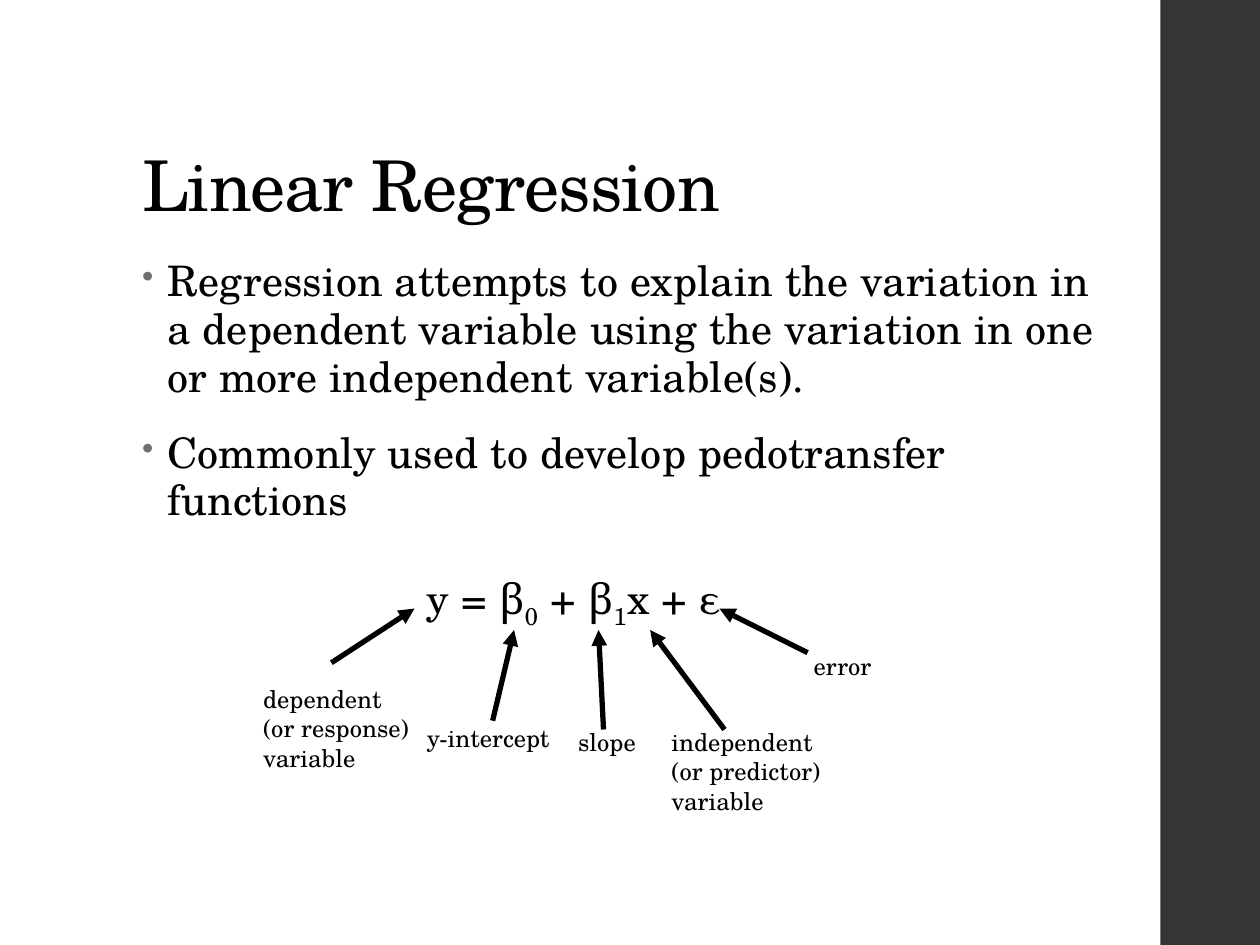
from dataclasses import dataclass

from lxml.etree import SubElement
from pptx import Presentation
from pptx.dml.color import RGBColor as Rgb
from pptx.enum.shapes import MSO_CONNECTOR as Connector, MSO_SHAPE as Shape
from pptx.enum.text import MSO_ANCHOR as Anchor, MSO_AUTO_SIZE as AutoSize
from pptx.oxml.ns import qn
from pptx.util import Inches, Pt


@dataclass(frozen=True)
class Theme:
    ink: Rgb = Rgb(0x00, 0x00, 0x00)
    sidebar: Rgb = Rgb(0x35, 0x35, 0x37)
    bullet: str = "6F6F74"
    font: str = "TeX Gyre Schola"
    greek_font: str = "Cambria"
    title_size: int = 40
    body_size: int = 24
    label_size: int = 14


theme = Theme()
deck = Presentation()
deck.slide_width, deck.slide_height = Inches(10), Inches(7.5)
page = deck.slides.add_slide(deck.slide_layouts[6])

# The page is a grid of 100 columns by 75 rows.
column = deck.slide_width / 100
row = deck.slide_height / 75


def add_frame(left, top, width, height, wrap=True, anchor=Anchor.TOP):
    """Add a text box placed in grid columns and rows; return its text frame."""
    box = page.shapes.add_textbox(
        int(left * column), int(top * row), int(width * column), int(height * row))
    frame = box.text_frame
    frame.word_wrap = wrap
    frame.auto_size = AutoSize.NONE if wrap else AutoSize.SHAPE_TO_FIT_TEXT
    frame.vertical_anchor = anchor
    return frame


def write(para, text, size=theme.body_size, font=theme.font, tracking=0, baseline=0):
    """Add a span; tracking is in hundredths of a point, baseline in percent."""
    span = para.add_run()
    span.text = text
    span.font.size = Pt(size)
    span.font.name = font
    span.font.color.rgb = theme.ink
    properties = span.font._element
    properties.set("spc", str(tracking))
    if baseline:
        properties.set("baseline", str(baseline * 1000))


sidebar = page.shapes.add_shape(
    Shape.RECTANGLE, int(92.1 * column), 0, int(7.9 * column), deck.slide_height)
sidebar.shadow.inherit = False
sidebar.fill.solid()
sidebar.fill.fore_color.rgb = theme.sidebar
sidebar.line.fill.background()

title = add_frame(10.3, 4, 79.5, 14.5, anchor=Anchor.BOTTOM).paragraphs[0]
title.line_spacing = 0.9
write(title, "Linear Regression", size=theme.title_size, tracking=-50)

body = add_frame(10.3, 20, 78, 47.6)
bullets = [
    ("Regression attempts to explain the variation in a dependent variable "
     "using the variation in one or more independent variable(s).", 0),
    ("Commonly used to develop pedotransfer functions", 14),
]
for index, (text, space_before) in enumerate(bullets):
    para = body.add_paragraph() if index else body.paragraphs[0]
    para.line_spacing = 0.95
    para.space_before, para.space_after = Pt(space_before), Pt(2)
    properties = para._p.get_or_add_pPr()
    properties.set("marL", str(Inches(0.2)))
    properties.set("indent", str(-Inches(0.2)))
    SubElement(SubElement(properties, qn("a:buClr")), qn("a:srgbClr"), val=theme.bullet)
    SubElement(properties, qn("a:buSzPct"), val="80000")
    SubElement(properties, qn("a:buChar"), char="•")
    write(para, text, tracking=10)

equation = body.add_paragraph()
equation.line_spacing = 0.95
equation.space_before, equation.space_after = Pt(25), Pt(2)
equation._p.get_or_add_pPr().set("marL", str(int(22.6 * column)))
greek, subscript = {"font": theme.greek_font}, {"baseline": -25}
for text, style in [("y = ", {}), ("β", greek), ("0", subscript), (" + ", {}),
                    ("β", greek), ("1", subscript), ("x + ε", {})]:
    write(equation, text, tracking=10, **style)

# Each term: label lines, label box, arrow start, arrow tip.
terms = [
    (["dependent", "(or response)", "variable"],
     (19.9, 53.8, 13.7, 8.1), (26.3, 52.6), (32.9, 48.3)),
    (["independent", "(or predictor)", "variable"],
     (52.3, 57.2, 14.5, 8.1), (57.5, 57.9), (51.6, 50)),
    (["error"], (63.6, 51.2, 6.6, 3.4), (64.1, 51.8), (57.1, 48.3)),
    (["y-intercept"], (32.9, 56.9, 11.9, 3.4), (39.1, 57.2), (40.8, 50)),
    (["slope"], (44.9, 57.2, 6.6, 3.4), (47.9, 57.9), (47.5, 50)),
]
for lines, place, start, tip in terms:
    arrow = page.shapes.add_connector(
        Connector.STRAIGHT, int(start[0] * column), int(start[1] * row),
        int(tip[0] * column), int(tip[1] * row))
    arrow.line.color.rgb = theme.ink
    arrow.line.width = Pt(3)
    SubElement(arrow.line._get_or_add_ln(), qn("a:tailEnd"), type="triangle")
    SubElement(arrow._element.spPr, qn("a:effectLst"))

    label = add_frame(*place, wrap=False)
    for index, line in enumerate(lines):
        para = label.add_paragraph() if index else label.paragraphs[0]
        write(para, line, size=theme.label_size)

deck.save("out.pptx")
